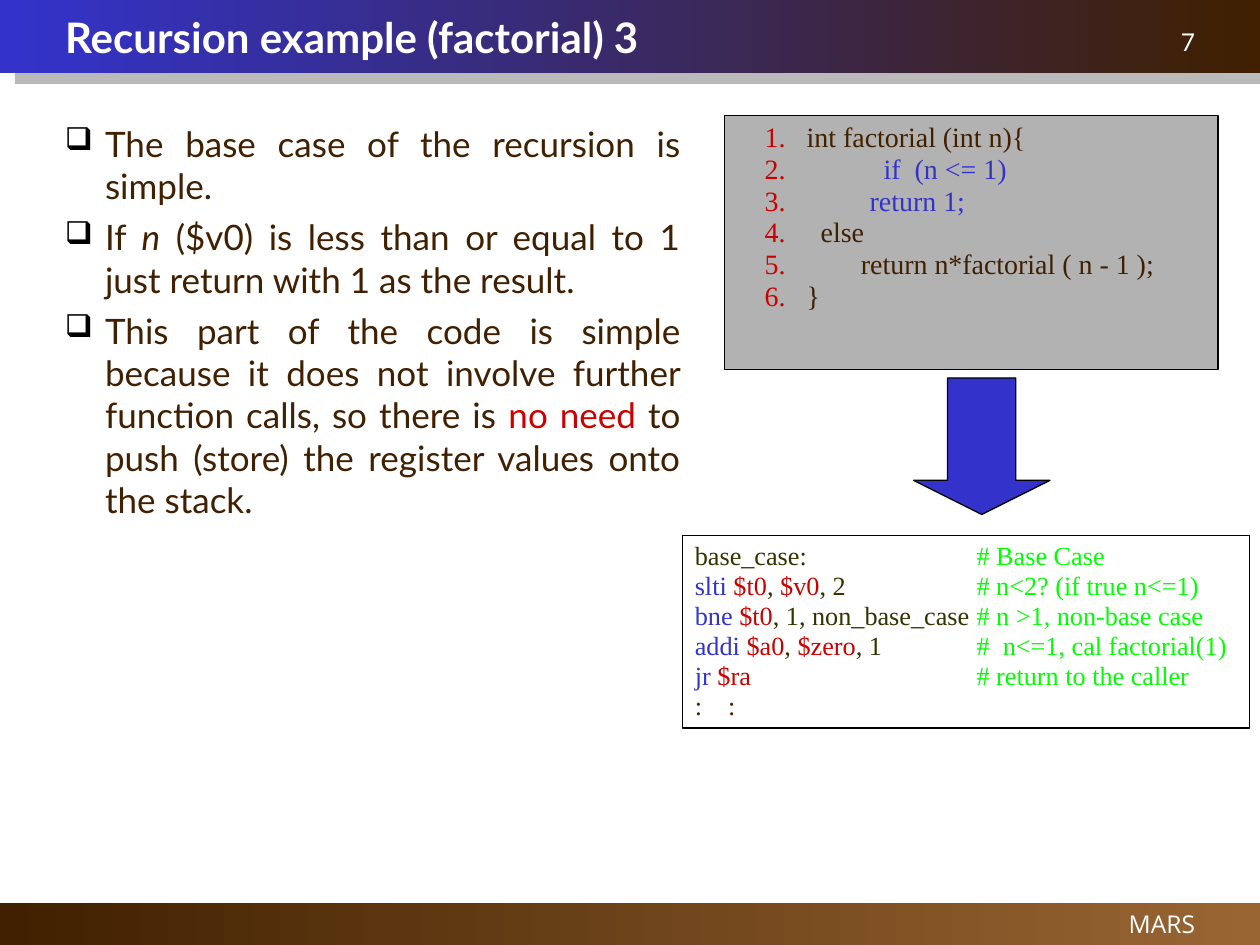
from lxml.etree import SubElement
from pptx import Presentation
from pptx.dml.color import RGBColor
from pptx.enum.shapes import MSO_SHAPE
from pptx.enum.text import MSO_ANCHOR, MSO_AUTO_SIZE, PP_ALIGN
from pptx.oxml.ns import qn
from pptx.util import Pt

WIDTH, HEIGHT = 720, 540
BROWN, BLUE, RED, OLIVE, GREEN = "402000", "3333CC", "CC0000", "333300", "00FF00"
WHITE, BLACK, GREY = "FFFFFF", "000000", "B2B2B2"

POINTS = [
    [("The base case of the recursion is simple.", BROWN, False)],
    [("If ", BROWN, False), ("n", BROWN, True),
     (" ($v0) is less than or equal to 1 just return with 1 as the result.", BROWN, False)],
    [("This part of the code is simple because it does not involve further "
      "function calls, so there is ", BROWN, False),
     ("no need", RED, False),
     (" to push (store) the register values onto the stack.", BROWN, False)],
]
SOURCE_LINES = [
    ("int factorial (int n){", BROWN, 24),
    ("if  (n <= 1)", BLUE, 68),
    ("return 1;", BLUE, 60),
    ("else", BROWN, 32),
    ("return n*factorial ( n - 1 );", BROWN, 55),
    ("}", BROWN, 24),
]
ASSEMBLY_LINES = [
    [("base_case:\t", OLIVE), ("# Base Case", GREEN)],
    [("slti ", BLUE), ("$t0", RED), (", ", OLIVE), ("$v0", RED), (", 2\t", OLIVE),
     ("# n<2? (if true n<=1)", GREEN)],
    [("bne ", BLUE), ("$t0", RED), (", 1, non_base_case\t", OLIVE),
     ("# n >1, non-base case", GREEN)],
    [("addi ", BLUE), ("$a0", RED), (", ", OLIVE), ("$zero", RED), (", 1\t", OLIVE),
     ("#  n<=1, cal factorial(1)", GREEN)],
    [("jr ", BLUE), ("$ra\t", RED), ("# return to the caller", GREEN)],
    [(":\t:", BROWN)],
]


def colour(hex_code):
    return RGBColor.from_string(hex_code)


def add_element(parent, tag, **attributes):
    return SubElement(parent, qn(tag), {k: str(v) for k, v in attributes.items()})


def add_panel(slide, box, kind=MSO_SHAPE.RECTANGLE, fill=None, line=None, weight=0.75):
    panel = slide.shapes.add_shape(kind, *map(Pt, box))
    panel.shadow.inherit = False
    if fill:
        panel.fill.solid()
        panel.fill.fore_color.rgb = colour(fill)
    else:
        panel.fill.background()
    if line:
        panel.line.color.rgb = colour(line)
        panel.line.width = Pt(weight)
    else:
        panel.line.fill.background()
    frame = panel.text_frame
    frame.word_wrap = True
    frame.vertical_anchor = MSO_ANCHOR.TOP
    return panel


def add_band(slide, box, left_colour, right_colour):
    band = add_panel(slide, box)
    band.fill.gradient()
    band.fill.gradient_angle = 0
    for stop, hex_code in zip(band.fill.gradient_stops, (left_colour, right_colour)):
        stop.color.rgb = colour(hex_code)
    return band


def add_label(slide, box, text, font_name):
    frame = slide.shapes.add_textbox(*map(Pt, box)).text_frame
    frame.word_wrap = True
    label = frame.paragraphs[0]
    label.text = text
    label.alignment = PP_ALIGN.RIGHT
    style(label, font_name, 14, WHITE)


def style(paragraph, name, size, hex_code=None):
    paragraph.font.name = name
    paragraph.font.size = Pt(size)
    if hex_code:
        paragraph.font.color.rgb = colour(hex_code)


def next_paragraph(frame, index):
    return frame.add_paragraph() if index else frame.paragraphs[0]


def add_run(paragraph, text, hex_code):
    run = paragraph.add_run()
    run.text = text
    run.font.color.rgb = colour(hex_code)
    return run


def set_tab(paragraph, position):
    tabs = add_element(paragraph._p.get_or_add_pPr(), "a:tabLst")
    add_element(tabs, "a:tab", pos=Pt(position), algn="l")


def add_header(slide, box, heading, number):
    left, top, width, height = box
    band = add_band(slide, box, BLUE, BROWN)
    effects = band._element.spPr.find(qn("a:effectLst"))
    shadow = add_element(effects, "a:outerShdw", blurRad=0, dist=Pt(10.4),
                         dir=35 * 60000, algn="ctr", rotWithShape=0)
    add_element(add_element(shadow, "a:srgbClr", val="777777"), "a:alpha", val=50000)

    title = slide.shapes.title
    slide.shapes._spTree.append(title._element)
    title.left, title.top = Pt(left + 30), Pt(top)
    title.width, title.height = Pt(width - 60), Pt(height)
    frame = title.text_frame
    frame.text = heading
    frame.auto_size = MSO_AUTO_SIZE.NONE
    frame.vertical_anchor = MSO_ANCHOR.MIDDLE
    line = frame.paragraphs[0]
    line.alignment = PP_ALIGN.LEFT
    line.line_spacing = 1.01
    style(line, "Lato", 24, WHITE)
    line.font.bold = True
    add_label(slide, (left + width - 180, top + 12, 150, 24.5), number, "Lato")


def add_footer(slide, box, text):
    left, top, width, height = box
    add_band(slide, box, BROWN, "996633")
    add_label(slide, (left + width - 390, top, 360, height), text, "Open Sans")


def add_points(slide, box, points):
    frame = slide.shapes.add_textbox(*map(Pt, box)).text_frame
    frame.word_wrap = True
    for index, runs in enumerate(points):
        point = next_paragraph(frame, index)
        properties = point._p.get_or_add_pPr()
        properties.set("marL", str(Pt(23)))
        properties.set("indent", str(Pt(-23)))
        add_element(add_element(properties, "a:buClr"), "a:srgbClr", val=BLACK)
        add_element(properties, "a:buSzPct", val=90000)
        add_element(properties, "a:buChar", char="❑")
        point.alignment = PP_ALIGN.JUSTIFY
        point.line_spacing = 1.01
        if index:
            point.space_before = Pt(5)
        style(point, "Lato", 20)
        for text, hex_code, italic in runs:
            run = add_run(point, text, hex_code)
            if italic:
                run.font.italic = True


def add_source(slide, box, lines):
    frame = add_panel(slide, box, fill=GREY, line=BLACK).text_frame
    frame.margin_left = Pt(23)
    for index, (code, hex_code, code_start) in enumerate(lines):
        line = next_paragraph(frame, index)
        set_tab(line, code_start)
        line.alignment = PP_ALIGN.LEFT
        line.line_spacing = 0.95
        style(line, "Times New Roman", 16)
        add_run(line, f"{index + 1}.\t", RED)
        add_run(line, code, hex_code)


def add_assembly(slide, box, lines):
    frame = add_panel(slide, box, line=BLACK, weight=1).text_frame
    for index, runs in enumerate(lines):
        line = next_paragraph(frame, index)
        set_tab(line, 161 if len(runs) > 1 else 19)
        line.alignment = PP_ALIGN.LEFT
        line.line_spacing = 0.95
        style(line, "Times New Roman", 15)
        for text, hex_code in runs:
            add_run(line, text, hex_code)


def main():
    deck = Presentation()
    deck.slide_width, deck.slide_height = Pt(WIDTH), Pt(HEIGHT)
    slide = deck.slides.add_slide(deck.slide_layouts[5])
    add_footer(slide, (0, 516, WIDTH, 24), "MARS")
    add_header(slide, (0, 0, WIDTH, 42), "Recursion example (factorial) 3", "7")
    add_points(slide, (30, 66, 366, 432), POINTS)
    add_source(slide, (414, 66, 282, 145), SOURCE_LINES)
    arrow = add_panel(slide, (522, 216, 78, 78), MSO_SHAPE.DOWN_ARROW, BLUE, BLACK)
    arrow.adjustments[0], arrow.adjustments[1] = 0.5, 0.25
    add_assembly(slide, (390, 306, 324, 110), ASSEMBLY_LINES)
    deck.save("out.pptx")


if __name__ == "__main__":
    main()
